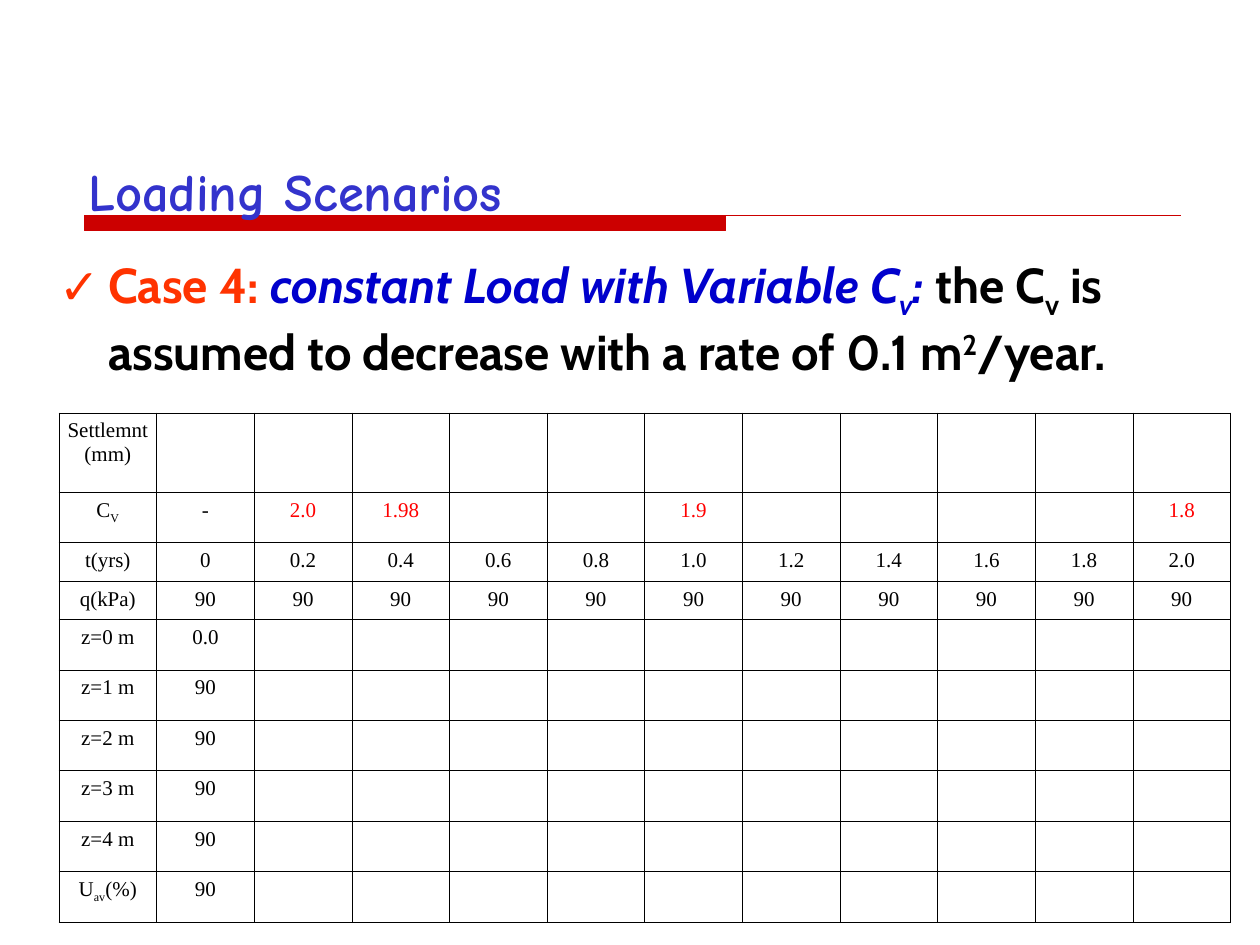
from lxml.etree import SubElement as Sub
from pptx import Presentation
from pptx.dml.color import RGBColor as RGB
from pptx.enum.text import PP_ALIGN as ALIGN
from pptx.oxml.ns import qn
from pptx.util import Inches, Pt

COLORS = {"title": "3333CC", "rule": "CC0000", "case": "FF3300", "topic": "0000CC",
          "text": "000000", "value": "FF0000", "cell": "FFFFFF"}
TITLE = {"size": Pt(30), "name": "Comic Neue", "bold": True}
BODY = {"size": Pt(28), "name": "Cabin", "bold": True}
CELL = {"size": Pt(12), "name": "Times New Roman"}
SUBSCRIPT, SUPERSCRIPT = -25000, 30000
COLUMNS = 12
HEADER_UNITS = 2.07
ROWS = [
    ["Settlemnt\n(mm)"],
    ["C|V", "-", "2.0", "1.98", "", "", "1.9", "", "", "", "", "1.8"],
    ["t(yrs)", "0"] + [f"{n / 5:.1f}" for n in range(1, 11)],
    ["q(kPa)"] + ["90"] * 11,
    ["z=0 m", "0.0"],
    *[[f"z={depth} m", "90"] for depth in range(1, 5)],
    ["U|av|(%)", "90"],
]


def rgb(name):
    """Return a palette colour."""
    return RGB.from_string(COLORS[name])


def percent_box(prs, x, y, w, h):
    """Turn percentages of the slide into a box."""
    sw, sh = prs.slide_width / 100, prs.slide_height / 100
    return int(x * sw), int(y * sh), int(w * sw), int(h * sh)


def apply(target, formats):
    """Set attributes from a dict."""
    for key, value in formats.items():
        setattr(target, key, value)


def add_run(p, text, color, formats, baseline=0):
    """Append a formatted run."""
    r = p.add_run()
    r.text = text
    apply(r.font, formats)
    r.font.color.rgb = rgb(color)
    if baseline:
        r._r.get_or_add_rPr().set("baseline", str(baseline))


def add_textbox(s, box, inset_x, inset_y):
    """Add a wrapping text box and return its first paragraph."""
    tf = s.shapes.add_textbox(*box).text_frame
    apply(tf, {"word_wrap": True,
               "margin_left": Inches(inset_x), "margin_right": Inches(inset_x),
               "margin_top": Inches(inset_y), "margin_bottom": Inches(inset_y)})
    return tf.paragraphs[0]


def set_indent(p, left, first):
    """Set the left and first-line indents in inches."""
    pPr = p._p.get_or_add_pPr()
    pPr.set("marL", str(Inches(left)))
    pPr.set("indent", str(Inches(first)))
    return pPr


def add_title(s, box):
    """Place the slide title."""
    p = add_textbox(s, box, 0.07, 0.03)
    apply(p, {"line_spacing": 1.23, "space_before": Pt(9.4)})
    set_indent(p, 0.38, -0.38)
    add_run(p, "Loading Scenarios", "title", TITLE)


def add_rule(s, box):
    """Place the thick bar and thin line under the title as one outline."""
    x, y, w, h = box
    bar_end = x + int(w * 0.585)
    outline = s.shapes.build_freeform(x, y)
    outline.add_line_segments([(bar_end, y), (bar_end, y + h), (x, y + h)], close=True)
    outline.move_to(x, y)
    outline.add_line_segments([(x + w, y)], close=False)
    sp = outline.convert_to_shape()
    sp.shadow.inherit = False
    sp.fill.solid()
    sp.fill.fore_color.rgb = rgb("rule")
    sp.line.color.rgb = rgb("rule")
    sp.line.width = Pt(0.75)


def add_case(s, box):
    """Place the ticked case statement."""
    p = add_textbox(s, box, 0.1, 0.05)
    pPr = set_indent(p, 0.49, -0.39)
    Sub(Sub(pPr, qn("a:buClr")), qn("a:srgbClr"), val=COLORS["case"])
    Sub(pPr, qn("a:buFont"), typeface="DejaVu Sans")
    Sub(pPr, qn("a:buChar"), char="✓")
    italic = {**BODY, "italic": True}
    for run in [
        ("Case 4: ", "case", BODY),
        ("constant Load with Variable C", "topic", italic),
        ("v", "topic", italic, SUBSCRIPT),
        (": ", "topic", italic),
        ("the C", "text", BODY),
        ("v", "text", BODY, SUBSCRIPT),
        (" is assumed to decrease with a rate of 0.1 m", "text", BODY),
        ("2", "text", BODY, SUPERSCRIPT),
        ("/year.", "text", BODY),
    ]:
        add_run(p, *run)


def style_cell(cell):
    """Give a cell its margins, borders and fill."""
    apply(cell, {f"margin_{side}": Inches(0.05) for side in ("left", "right", "top", "bottom")})
    tcPr = cell._tc.get_or_add_tcPr()
    for side in "LRTB":
        ln = Sub(tcPr, qn(f"a:ln{side}"), w=str(Pt(0.45)))
        Sub(Sub(ln, qn("a:solidFill")), qn("a:srgbClr"), val=COLORS["text"])
    cell.fill.solid()
    cell.fill.fore_color.rgb = rgb("cell")


def fill_cell(cell, text, color):
    """Write centred lines; a bar opens and closes a subscript."""
    for i, line in enumerate(text.split("\n")):
        p = cell.text_frame.add_paragraph() if i else cell.text_frame.paragraphs[0]
        p.alignment = ALIGN.CENTER
        for j, part in enumerate(line.split("|")):
            add_run(p, part, color, CELL, SUBSCRIPT if j % 2 else 0)


def add_settlement_table(s, box):
    """Place the settlement table."""
    x, y, w, h = box
    table = s.shapes.add_table(len(ROWS), COLUMNS, x, y, w, h).table
    apply(table, {"first_row": False, "horz_banding": False})
    for col in table.columns:
        col.width = w // COLUMNS
    unit = h / (len(ROWS) - 1 + HEADER_UNITS)
    for i, (row, texts) in enumerate(zip(table.rows, ROWS)):
        row.height = int(unit * (1 if i else HEADER_UNITS))
        for j, cell in enumerate(row.cells):
            style_cell(cell)
            if j < len(texts) and texts[j]:
                fill_cell(cell, texts[j], "value" if i == 1 and j > 1 else "text")


def main():
    """Build and save the slide."""
    prs = Presentation()
    apply(prs, {"slide_width": Inches(10), "slide_height": Inches(7.5)})
    s = prs.slides.add_slide(prs.slide_layouts[6])
    add_rule(s, percent_box(prs, 6.7, 22.8, 87, 1.6))
    add_title(s, percent_box(prs, 6.3, 14.93, 73.4, 8.93))
    add_case(s, percent_box(prs, 2.7, 26.27, 95.3, 20.93))
    add_settlement_table(s, percent_box(prs, 4.68, 43.7, 93, 44.93))
    prs.save("out.pptx")


if __name__ == "__main__":
    main()
